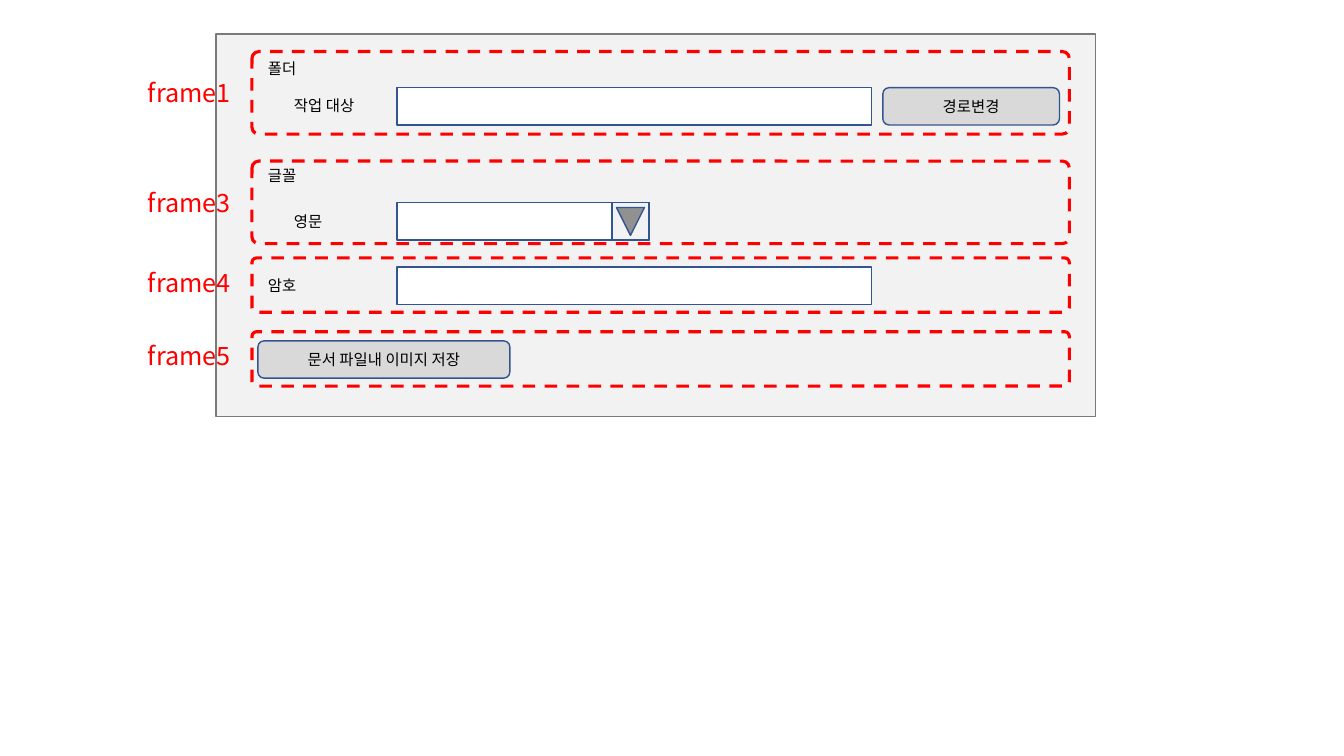
from dataclasses import dataclass

from lxml.etree import SubElement
from pptx import Presentation
from pptx.dml.color import RGBColor
from pptx.enum.dml import MSO_LINE
from pptx.enum.shapes import MSO_SHAPE
from pptx.enum.text import MSO_ANCHOR, MSO_AUTO_SIZE, PP_ALIGN
from pptx.oxml.ns import qn
from pptx.shapes.autoshape import Shape
from pptx.slide import Slide
from pptx.text.text import TextFrame
from pptx.util import Cm, Pt

BLACK = RGBColor(0x00, 0x00, 0x00)
WHITE = RGBColor(0xFF, 0xFF, 0xFF)
RED = RGBColor(0xFF, 0x00, 0x00)
BLUE = RGBColor(0x32, 0x54, 0x91)
GREY = RGBColor(0x7A, 0x7A, 0x7A)
PANEL_GREY = RGBColor(0xF2, 0xF2, 0xF2)
BUTTON_GREY = RGBColor(0xD9, 0xD9, 0xD9)

FONT = "Noto Sans CJK KR"
CONTROL_HEIGHT = 0.94
FIELD_LEFT = 10.01
FIELD_WIDTH = 11.96
COMBO_WIDTH = 6.35
FOLDER_TOP, FONT_TOP, PASSWORD_TOP, SAVE_TOP = 2.21, 5.11, 6.73, 8.59
LABEL_DROP = 0.1
HEADING_LEFT, LABEL_LEFT, LABEL_RIGHT = 6.5, 7.16, 9.75


@dataclass(frozen=True)
class Control:
    left: float
    top: float
    width: float
    height: float = CONTROL_HEIGHT
    preset: MSO_SHAPE = MSO_SHAPE.RECTANGLE
    fill: RGBColor = WHITE
    line: RGBColor = BLUE
    text: str = ""
    rotation: float = 0


@dataclass(frozen=True)
class Label:
    text: str
    left: float
    top: float


@dataclass(frozen=True)
class Frame:
    name: str
    top: float
    height: float
    caption_drop: float


CONTROLS = [
    Control(5.44, 0.86, 22.17, 9.63, fill=PANEL_GREY, line=GREY),
    Control(FIELD_LEFT, FOLDER_TOP, FIELD_WIDTH),
    Control(22.25, FOLDER_TOP, 4.45, preset=MSO_SHAPE.ROUNDED_RECTANGLE,
            fill=BUTTON_GREY, text="경로변경"),
    Control(FIELD_LEFT, FONT_TOP, COMBO_WIDTH),
    Control(FIELD_LEFT + COMBO_WIDTH - CONTROL_HEIGHT, FONT_TOP, CONTROL_HEIGHT,
            preset=MSO_SHAPE.ACTION_BUTTON_BACK_OR_PREVIOUS,
            fill=PANEL_GREY, rotation=270),
    Control(FIELD_LEFT, PASSWORD_TOP, FIELD_WIDTH),
    Control(HEADING_LEFT, SAVE_TOP, COMBO_WIDTH, preset=MSO_SHAPE.ROUNDED_RECTANGLE,
            fill=BUTTON_GREY, text="문서 파일내 이미지 저장"),
]

LABELS = [
    Label("폴더", HEADING_LEFT, 1.37),
    Label("작업 대상", LABEL_LEFT, FOLDER_TOP + LABEL_DROP),
    Label("글꼴", HEADING_LEFT, 4.06),
    Label("영문", LABEL_LEFT, FONT_TOP + LABEL_DROP),
    Label("암호", HEADING_LEFT, PASSWORD_TOP + LABEL_DROP),
]

FRAMES = [
    Frame("frame1", 1.3, 2.08, 0.53),
    Frame("frame3", 4.06, 2.08, 0.53),
    Frame("frame4", 6.5, 1.37, 0.1),
    Frame("frame5", 8.36, 1.37, 0.1),
]


def write_text(text_frame: TextFrame, text: str, size: float, color: RGBColor) -> None:
    text_frame.text = text
    for span in text_frame.paragraphs[0].runs:
        span.font.name = FONT
        span.font.size = Pt(size)
        span.font.color.rgb = color
        SubElement(span.font._element, qn("a:ea"), typeface=FONT)


def add_text(page: Slide, text: str, left: float, top: float, width: float,
             height: float, size: float, color: RGBColor) -> None:
    box = page.shapes.add_textbox(Cm(left), Cm(top), Cm(width), Cm(height))
    box.text_frame.word_wrap = True
    box.text_frame.auto_size = MSO_AUTO_SIZE.SHAPE_TO_FIT_TEXT
    write_text(box.text_frame, text, size, color)


def add_outline(page: Slide, preset: MSO_SHAPE, left: float, top: float, width: float,
                height: float, color: RGBColor, weight: float) -> Shape:
    shape = page.shapes.add_shape(preset, Cm(left), Cm(top), Cm(width), Cm(height))
    shape.shadow.inherit = False
    shape.line.color.rgb = color
    shape.line.width = Pt(weight)
    return shape


def add_control(page: Slide, control: Control) -> None:
    shape = add_outline(page, control.preset, control.left, control.top,
                        control.width, control.height, control.line, 1)
    shape.fill.solid()
    shape.fill.fore_color.rgb = control.fill
    shape.rotation = control.rotation
    if control.text:
        write_text(shape.text_frame, control.text, 11, BLACK)
        shape.text_frame.vertical_anchor = MSO_ANCHOR.MIDDLE
        shape.text_frame.paragraphs[0].alignment = PP_ALIGN.CENTER


def add_frame(page: Slide, frame: Frame) -> None:
    shape = add_outline(page, MSO_SHAPE.ROUNDED_RECTANGLE, 6.35, frame.top,
                        20.6, frame.height, RED, 2.25)
    shape.adjustments[0] = 0.084
    shape.fill.background()
    shape.line.dash_style = MSO_LINE.DASH
    add_text(page, frame.name, 3.48, frame.top + frame.caption_drop, 3.12, 1.02, 18, RED)


def main() -> None:
    deck = Presentation()
    deck.slide_width, deck.slide_height = Cm(33.87), Cm(19.05)
    page = deck.slides.add_slide(deck.slide_layouts[6])
    for control in CONTROLS:
        add_control(page, control)
    for label in LABELS:
        add_text(page, label.text, label.left, label.top,
                 LABEL_RIGHT - label.left, 0.74, 11, BLACK)
    for frame in FRAMES:
        add_frame(page, frame)
    deck.save("out.pptx")


if __name__ == "__main__":
    main()
